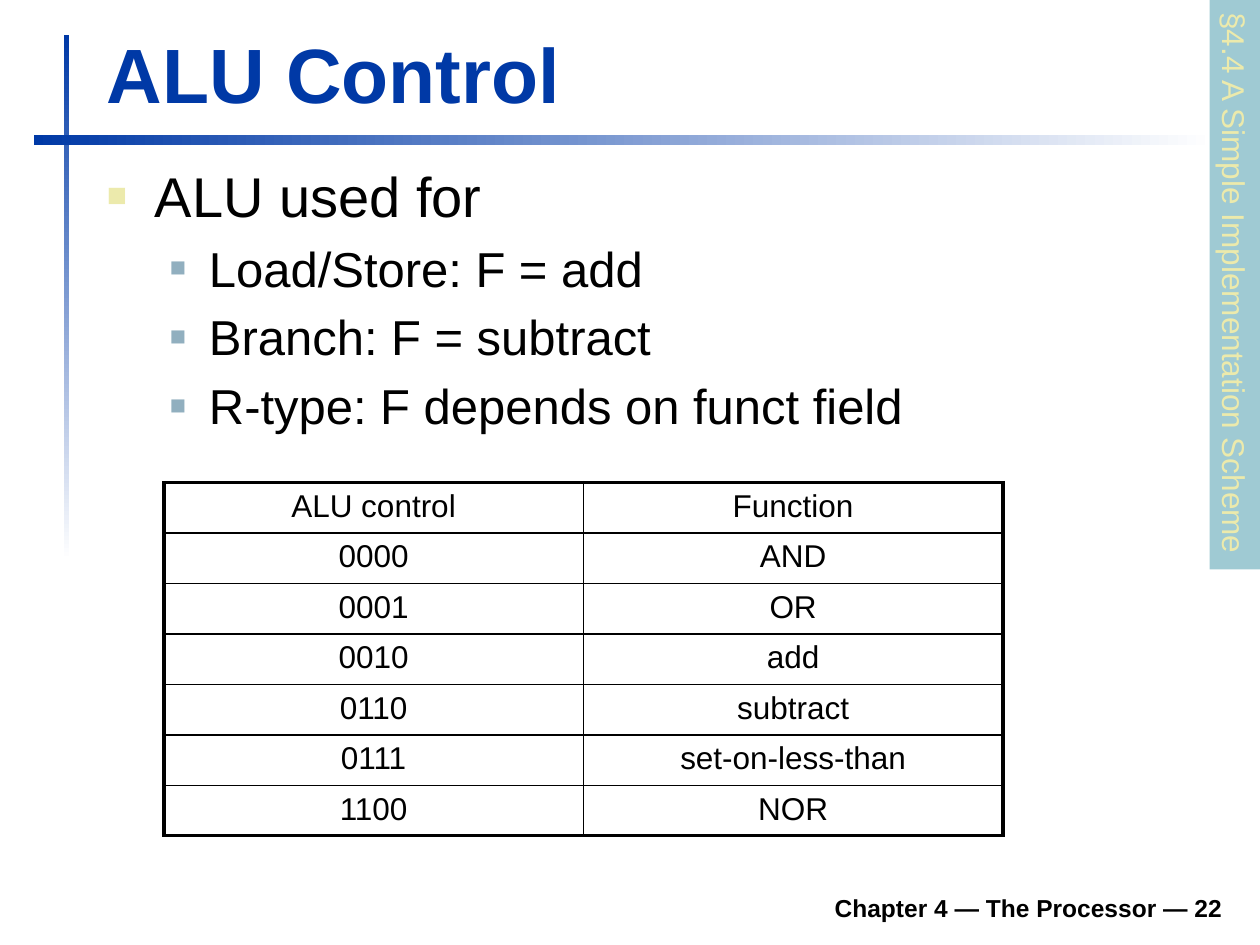
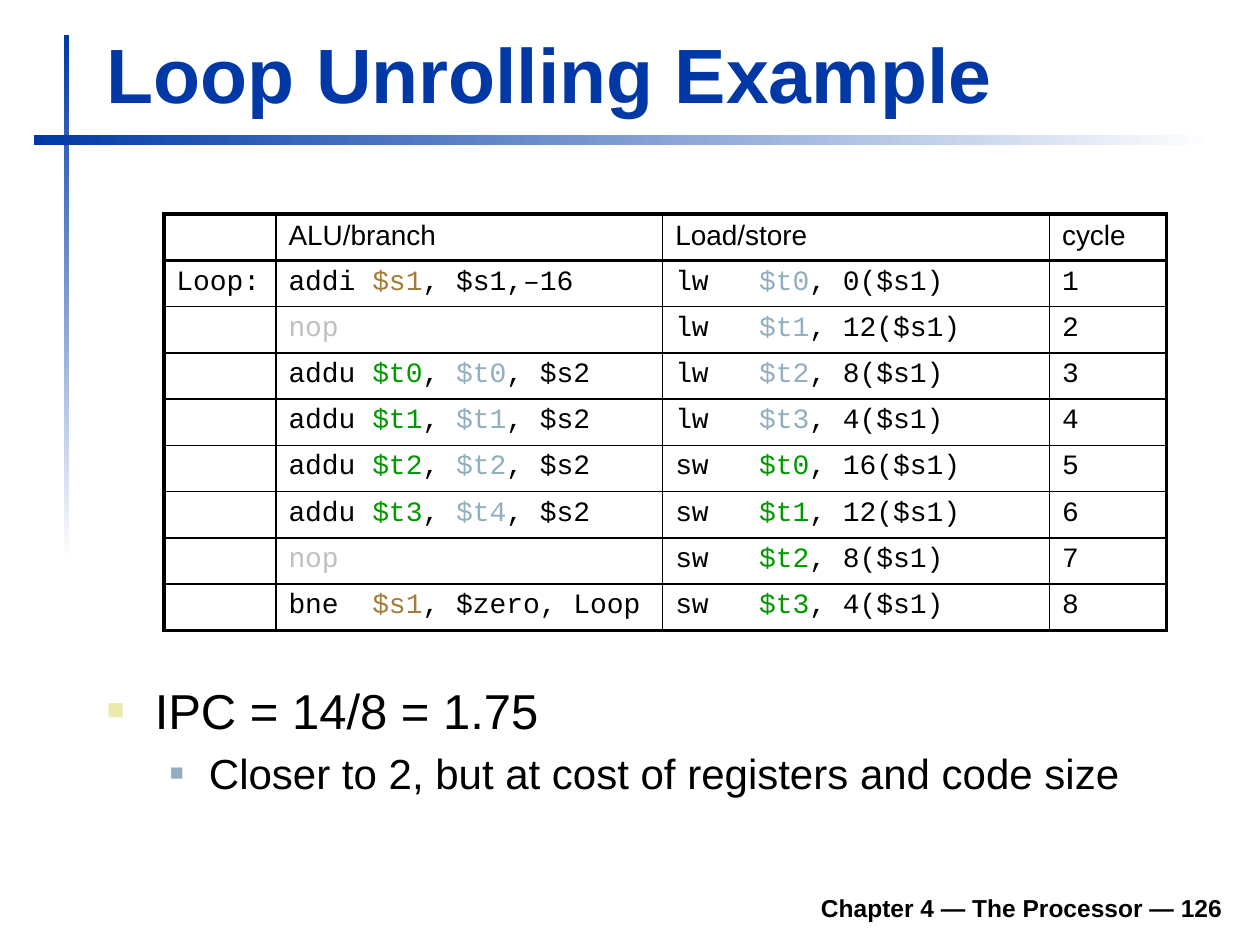
from lxml import etree
from pptx import Presentation
from pptx.dml.color import RGBColor
from pptx.enum.shapes import MSO_SHAPE
from pptx.enum.text import MSO_ANCHOR, PP_ALIGN
from pptx.oxml.ns import qn
from pptx.util import Inches, Pt

RECTANGLE = MSO_SHAPE.RECTANGLE
BOTTOM, MIDDLE = MSO_ANCHOR.BOTTOM, MSO_ANCHOR.MIDDLE
LEFT, CENTER, RIGHT = PP_ALIGN.LEFT, PP_ALIGN.CENTER, PP_ALIGN.RIGHT

COLORS = {
    "blue": "0039A6", "white": "FFFFFF", "black": "000000", "cream": "ECEAAC",
    "steel": "91AFBF", "teal": "9FCAD3", "tan": "A47B38", "green": "009900",
    "grey": "C0C0C0",
}
RGB = {name: RGBColor.from_string(value) for name, value in COLORS.items()}
SANS, MONO = "Arial", "Courier New"

# Gradient bars: left, top, width, height, python-pptx angle
BARS = [(0.51, 0.28, 0.04, 4.17, 270), (0.27, 1.07, 9.37, 0.08, 0)]
# Bullet levels: left margin, hanging indent, colour, size in percent
LEVELS = [(0.38, 0.38, "cream", 60), (0.81, 0.31, "steel", 55)]

# In a table cell, |colour:text| marks a coloured run.
SLIDES = [
    {
        "title": "ALU Control",
        "number": 22,
        "section": "§4.4 A Simple Implementation Scheme",
        "bullets_box": (0.75, 1.23, 9.05, 2.6),
        "bullets": [
            (0, 32, "ALU used for"),
            (1, 28, "Load/Store: F = add"),
            (1, 28, "Branch: F = subtract"),
            (1, 28, "R-type: F depends on funct field"),
        ],
        "table_top": 3.83,
        "table_height": 2.8,
        "columns": [3.33, 3.33],
        "size": 18,
        "align": CENTER,
        "body_font": SANS,
        "rows": [
            ("ALU control", "Function"),
            ("0000", "AND"),
            ("0001", "OR"),
            ("0010", "add"),
            ("0110", "subtract"),
            ("0111", "set-on-less-than"),
            ("1100", "NOR"),
        ],
    },
    {
        "title": "Loop Unrolling Example",
        "number": 126,
        "section": None,
        "bullets_box": (0.75, 5.35, 9.05, 1.47),
        "bullets": [
            (0, 28, "IPC = 14/8 = 1.75"),
            (1, 24, "Closer to 2, but at cost of registers and code size"),
        ],
        "table_top": 1.7,
        "table_height": 3.3,
        "columns": [0.89, 3.07, 3.07, 0.93],
        "size": 16,
        "align": LEFT,
        "body_font": MONO,
        "rows": [
            ("", "ALU/branch", "Load/store", "cycle"),
            ("Loop:", "addi |tan:$s1|, $s1,–16", "lw   |steel:$t0|, 0($s1)", "1"),
            ("", "|grey:nop|", "lw   |steel:$t1|, 12($s1)", "2"),
            ("", "addu |green:$t0|, |steel:$t0|, $s2", "lw   |steel:$t2|, 8($s1)", "3"),
            ("", "addu |green:$t1|, |steel:$t1|, $s2", "lw   |steel:$t3|, 4($s1)", "4"),
            ("", "addu |green:$t2|, |steel:$t2|, $s2", "sw   |green:$t0|, 16($s1)", "5"),
            ("", "addu |green:$t3|, |steel:$t4|, $s2", "sw   |green:$t1|, 12($s1)", "6"),
            ("", "|grey:nop|", "sw   |green:$t2|, 8($s1)", "7"),
            ("", "bne  |tan:$s1|, $zero, Loop", "sw   |green:$t3|, 4($s1)", "8"),
        ],
    },
]


def style(paragraph, size, color="black", name=SANS, bold=False, align=LEFT):
    paragraph.alignment = align
    font = paragraph.font
    font.size, font.name, font.bold = Pt(size), name, bold
    font.color.rgb = RGB[color]


def add_xml(parent, tag, **attributes):
    return etree.SubElement(parent, qn(tag), attributes)


presentation = Presentation()
presentation.slide_width, presentation.slide_height = Inches(10), Inches(7.5)

for content in SLIDES:
    slide = presentation.slides.add_slide(presentation.slide_layouts[6])

    for *box, angle in BARS:
        bar = slide.shapes.add_shape(RECTANGLE, *map(Inches, box))
        bar.shadow.inherit = False
        bar.line.fill.background()
        bar.fill.gradient()
        bar.fill.gradient_angle = angle
        for stop, color, position in zip(bar.fill.gradient_stops, ("blue", "white"), (0, 1)):
            stop.color.rgb = RGB[color]
            stop.position = position

    footer = f"Chapter 4 — The Processor — {content['number']}"
    for box, text, size, color, align in [
        ((1.85, 6.98, 7.95, 0.39), footer, 14, "black", RIGHT),
        ((0.75, 0.16, 9.03, 0.83), content["title"], 44, "blue", LEFT),
    ]:
        frame = slide.shapes.add_textbox(*map(Inches, box)).text_frame
        frame.word_wrap = True
        frame.vertical_anchor = BOTTOM
        frame.text = text
        style(frame.paragraphs[0], size, color, bold=True, align=align)

    frame = slide.shapes.add_textbox(*map(Inches, content["bullets_box"])).text_frame
    frame.word_wrap = True
    for index, (level, size, text) in enumerate(content["bullets"]):
        paragraph = frame.add_paragraph() if index else frame.paragraphs[0]
        paragraph.text = text
        paragraph.level = level
        margin, hanging, color, percent = LEVELS[level]
        properties = paragraph._p.get_or_add_pPr()
        properties.set("marL", str(Inches(margin)))
        properties.set("indent", str(-Inches(hanging)))
        if index:
            add_xml(add_xml(properties, "a:spcBef"), "a:spcPct", val="20000")
        add_xml(add_xml(properties, "a:buClr"), "a:srgbClr", val=COLORS[color])
        add_xml(properties, "a:buSzPct", val=str(percent * 1000))
        add_xml(properties, "a:buFont", typeface=SANS)
        add_xml(properties, "a:buChar", char="■")
        style(paragraph, size)

    if content["section"]:
        tab = slide.shapes.add_shape(
            RECTANGLE, Inches(7.54), Inches(2.06), Inches(4.52), Inches(0.4))
        tab.rotation = 90
        tab.shadow.inherit = False
        tab.fill.solid()
        tab.fill.fore_color.rgb = RGB["teal"]
        tab.line.fill.background()
        tab.text_frame.word_wrap = False
        tab.text_frame.vertical_anchor = MIDDLE
        tab.text_frame.text = content["section"]
        style(tab.text_frame.paragraphs[0], 18, "cream")

    rows, columns = content["rows"], content["columns"]
    last_row, last_column = len(rows) - 1, len(columns) - 1
    table = slide.shapes.add_table(
        len(rows), len(columns), Inches(1.3), Inches(content["table_top"]),
        Inches(sum(columns)), Inches(content["table_height"])).table
    table.first_row = table.horz_banding = False
    for column, width in zip(table.columns, columns):
        column.width = Inches(width)

    for r, row in enumerate(rows):
        for c, text in enumerate(row):
            cell = table.cell(r, c)
            paragraph = cell.text_frame.paragraphs[0]
            style(paragraph, content["size"], name=content["body_font"] if r else SANS,
                  align=content["align"])
            for index, piece in enumerate(text.split("|")):
                color, _, words = piece.partition(":") if index % 2 else ("", "", piece)
                if words:
                    run = paragraph.add_run()
                    run.text = words
                    if color:
                        run.font.color.rgb = RGB[color]
            if not text:
                cell.margin_top = cell.margin_bottom = 0

            # Heavy frame, medium rule under the header, thin rules elsewhere
            borders = {
                "a:lnL": 2.25 if c == 0 else 1,
                "a:lnR": 2.25 if c == last_column else 1,
                "a:lnT": {0: 2.25, 1: 1.5}.get(r, 1),
                "a:lnB": {0: 1.5, last_row: 2.25}.get(r, 1),
            }
            properties = cell._tc.get_or_add_tcPr()
            for side, width in borders.items():
                line = add_xml(properties, side, w=str(Pt(width)))
                add_xml(add_xml(line, "a:solidFill"), "a:srgbClr", val=COLORS["black"])
            cell.fill.background()

presentation.save("out.pptx")
